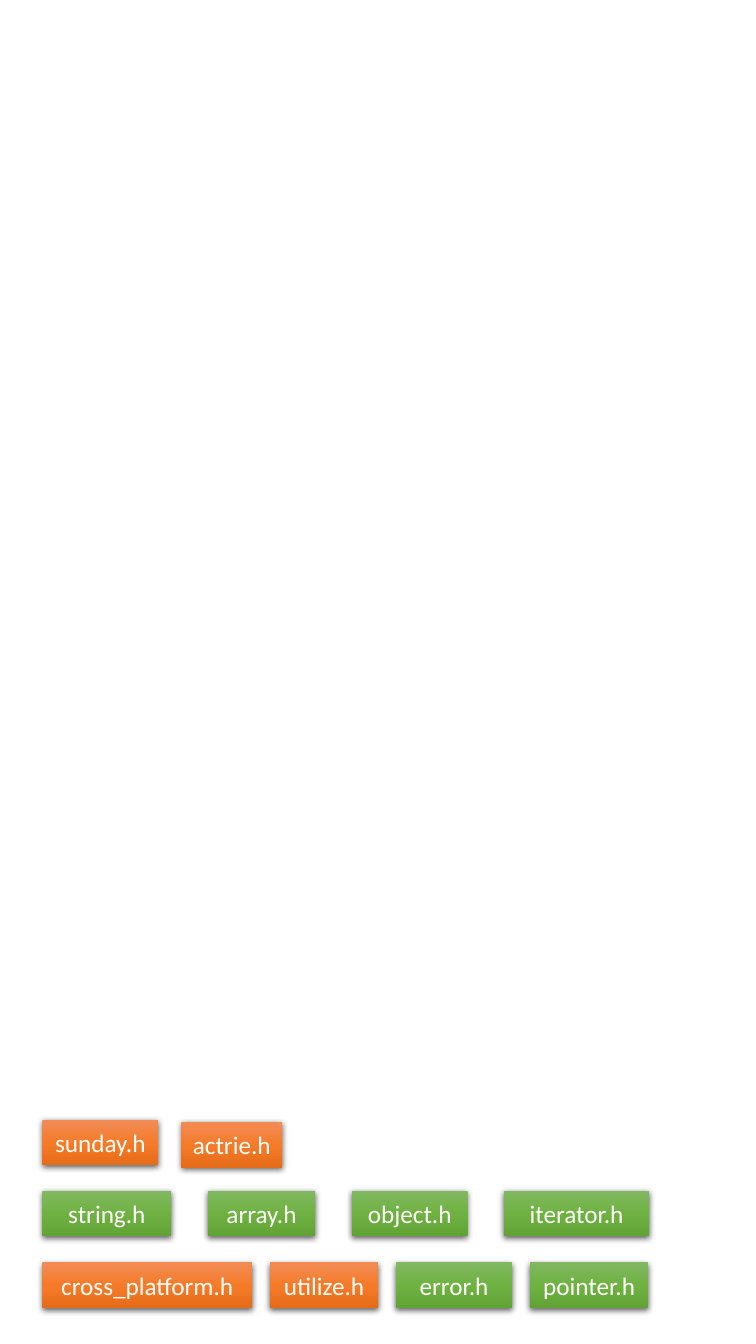
import copy

import lxml.etree
import pptx
import pptx.dml.color
import pptx.enum.shapes
import pptx.enum.text
import pptx.oxml.ns
import pptx.util

Inches = pptx.util.Inches
Pt = pptx.util.Pt
qn = pptx.oxml.ns.qn

COLORS = {
    "orange": ("F18C57", "F67B28", "E56C19"),
    "green": ("81B861", "6FB242", "62A336"),
    "text": "FFFFFF",
    "shadow": "000000",
}

LEFT = 0.42

# Each row: top, gap, and boxes of (name, width, color, drop below the row top)
HEADER_ROWS = [
    (11.11, 0.23, [("sunday.h", 1.15, "orange", 0),
                   ("actrie.h", 1.0, "orange", 0.02)]),
    (11.81, 0.36, [("string.h", 1.28, "green", 0),
                   ("array.h", 1.07, "green", 0),
                   ("object.h", 1.15, "green", 0),
                   ("iterator.h", 1.44, "green", 0)]),
    (12.52, 0.18, [("cross_platform.h", 2.08, "orange", 0),
                   ("utilize.h", 1.07, "orange", 0),
                   ("error.h", 1.15, "green", 0),
                   ("pointer.h", 1.17, "green", 0)]),
]


def write_text(frame, text, *, size=18, font="Calibri", color="text"):
    """Put one centred paragraph into a text frame."""
    frame.word_wrap = False
    frame.vertical_anchor = pptx.enum.text.MSO_ANCHOR.MIDDLE
    para = frame.paragraphs[0]
    para.alignment = pptx.enum.text.PP_ALIGN.CENTER
    span = para.add_run()
    span.text = text
    span.font.size = Pt(size)
    span.font.name = font
    span.font.color.rgb = pptx.dml.color.RGBColor.from_string(COLORS[color])


class HeaderMap:
    """Draws header file boxes on the current page."""

    box_height = 0.45

    def __init__(self, page):
        self.page = page

    def box(self, text, left, top, width, color):
        box = self.page.shapes.add_shape(
            pptx.enum.shapes.MSO_SHAPE.RECTANGLE,
            Inches(left), Inches(top), Inches(width), Inches(self.box_height))
        box.line.fill.background()
        self.gradient(box, COLORS[color])
        self.shadow(box)
        write_text(box.text_frame, text)

    def gradient(self, box, shades):
        box.fill.gradient()
        box.fill.gradient_angle = 270
        # A new gradient has two stops; add the middle one
        stop_list = next(box._element.spPr.iter(qn("a:gsLst")))
        stop_list.insert(1, copy.deepcopy(stop_list[0]))
        for stop, position, shade in zip(box.fill.gradient_stops, (0, 0.5, 1), shades):
            stop.position = position
            stop.color.rgb = pptx.dml.color.RGBColor.from_string(shade)

    def shadow(self, box):
        box.shadow.inherit = False
        effects = box._element.spPr.find(qn("a:effectLst"))
        outer = lxml.etree.SubElement(
            effects, qn("a:outerShdw"), blurRad=str(Pt(4.5)), dist=str(Pt(1.5)),
            dir="5400000", algn="ctr", rotWithShape="0")
        color = lxml.etree.SubElement(outer, qn("a:srgbClr"), val=COLORS["shadow"])
        lxml.etree.SubElement(color, qn("a:alpha"), val="63000")

    def row(self, top, gap, boxes):
        left = LEFT
        for text, width, color, drop in boxes:
            self.box(text, left, top + drop, width, color)
            left += width + gap


def main():
    deck = pptx.Presentation()
    deck.slide_width = Inches(7.5)
    deck.slide_height = Inches(13.33)
    header_map = HeaderMap(deck.slides.add_slide(deck.slide_layouts[6]))

    # Header files, layer by layer
    for top, gap, boxes in HEADER_ROWS:
        header_map.row(top, gap, boxes)

    deck.save("out.pptx")


if __name__ == "__main__":
    main()
